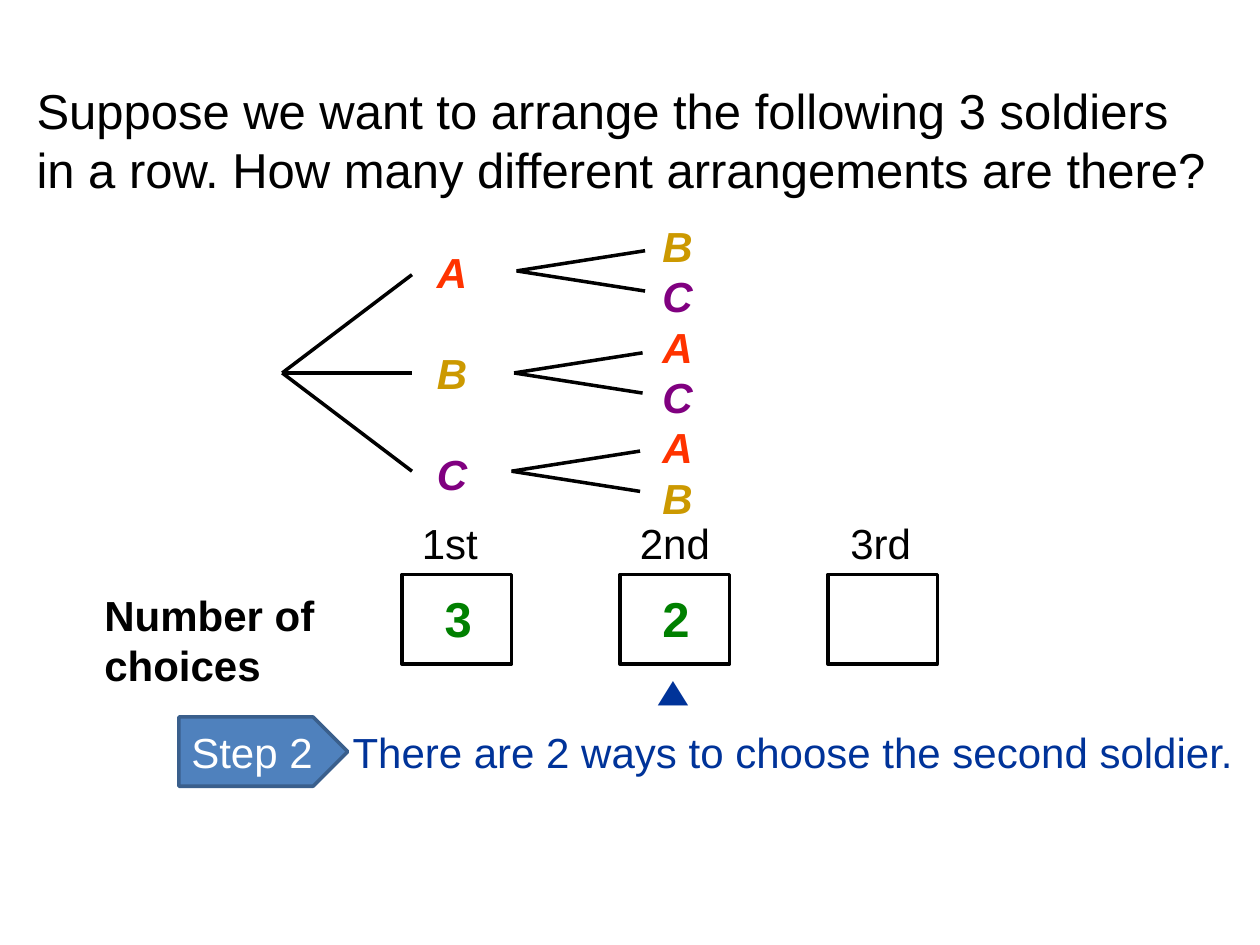
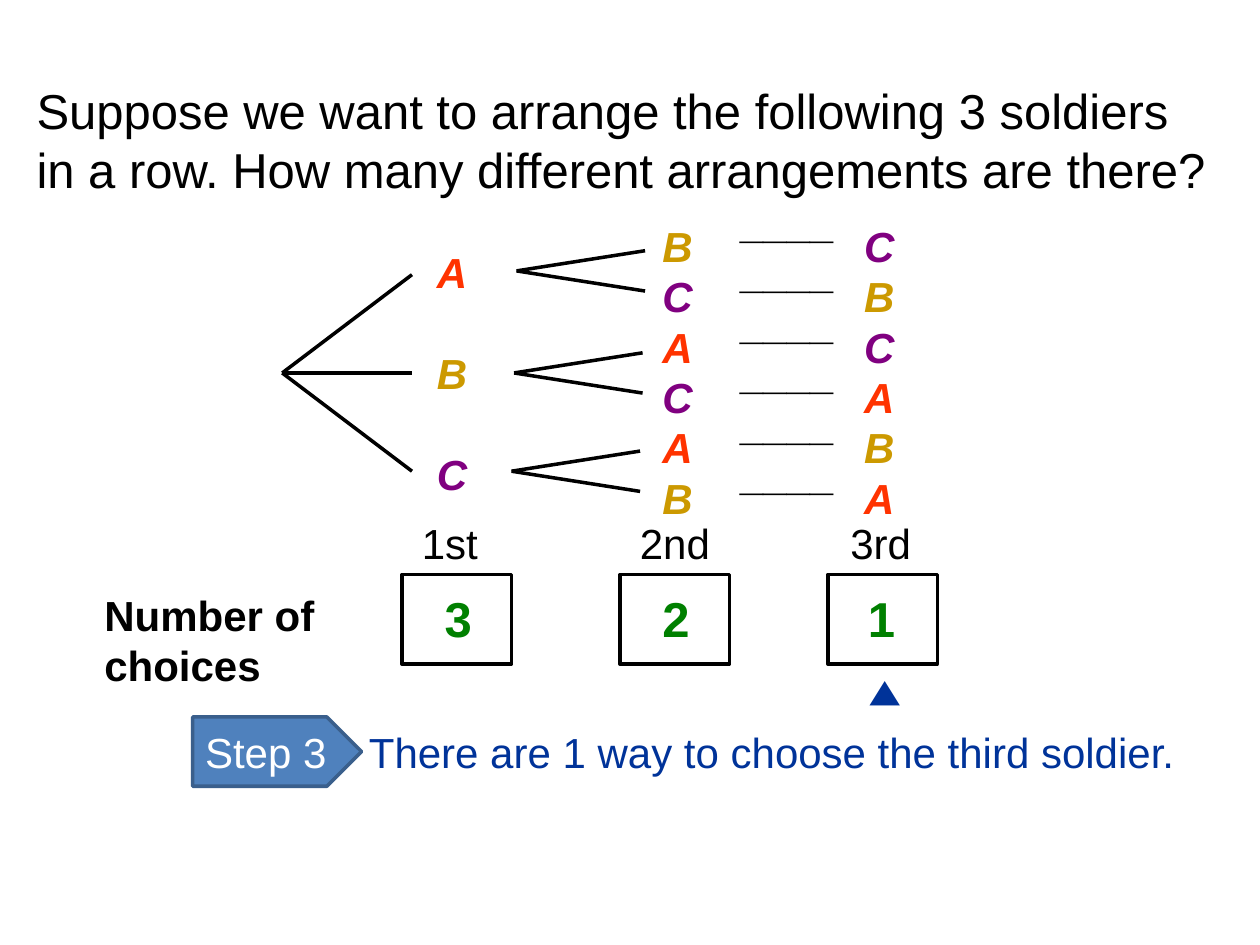
from pptx import Presentation
from pptx.dml.color import RGBColor
from pptx.enum.shapes import MSO_CONNECTOR, MSO_SHAPE
from pptx.enum.text import MSO_ANCHOR, PP_ALIGN
from pptx.oxml.ns import qn
from pptx.util import Inches, Pt
from lxml import etree

LEFT = PP_ALIGN.LEFT
TOP, MIDDLE = MSO_ANCHOR.TOP, MSO_ANCHOR.MIDDLE
RECT, PENTAGON = MSO_SHAPE.RECTANGLE, MSO_SHAPE.PENTAGON
STRAIGHT = MSO_CONNECTOR.STRAIGHT
TITLE_ONLY = 5

COLORS = {
    "black": "000000", "white": "FFFFFF", "count": "008000", "step": "003399",
    "tag": "4F81BD", "tag_line": "3A5F8C",
    "A": "FF3300", "B": "CC9900", "C": "800080",
}
FONT = "Arial"
LINE_HEIGHT = 1.2
QUESTION = ("Suppose we want to arrange the following 3 soldiers in a row. "
            "How many different arrangements are there?")

PLACES = [("1st", 3.19, 3.25), ("2nd", 4.92, 4.98), ("3rd", 6.57, 6.65)]
COUNTS = [("3", 3.43), ("2", 5.16), ("1", 6.79)]
FIRST, SECOND, THIRD = "ABC", "BCACAB", "CBCABA"
# Each fan: start x, start y, run, and the rise of each branch
FANS = [
    (2.24, 2.96, 1.03, (-0.78, 0, 0.78)),
    (4.10, 2.15, 1.02, (-0.16, 0.16)),
    (4.08, 2.96, 1.02, (-0.16, 0.16)),
    (4.06, 3.74, 1.02, (-0.16, 0.16)),
]
STEPS = [
    {"tag": "Step 2", "text": "There are 2 ways to choose the second soldier.",
     "tag_x": 1.42, "text_x": 2.70, "marker_x": 5.13, "filled": 2},
    {"tag": "Step 3", "text": "There are 1 way to choose the third soldier.",
     "tag_x": 1.53, "text_x": 2.83, "marker_x": 6.81, "filled": 3},
]


def write(shape, lines, color="black", size=24, bold=False, italic=False, gap=0):
    """Fill a shape with one paragraph per line; A, B and C take their own colour."""
    tf = shape.text_frame
    tf.word_wrap = True
    for i, line in enumerate(lines):
        p = tf.paragraphs[0] if i == 0 else tf.add_paragraph()
        p.text = line
        p.alignment = LEFT
        p.line_spacing = Pt(size * LINE_HEIGHT)
        p.space_before = Pt(0)
        p.space_after = Pt(gap)
        p.font.name, p.font.size = FONT, Pt(size)
        p.font.bold, p.font.italic = bold, italic
        p.font.color.rgb = RGBColor.from_string(COLORS.get(line, COLORS[color]))


def add_text(s, left, top, width, height, lines, **style):
    box = s.shapes.add_textbox(Inches(left), Inches(top), Inches(width), Inches(height))
    write(box, lines, **style)
    return box


prs = Presentation()
prs.slide_width, prs.slide_height = Inches(10), Inches(7.5)

for step in STEPS:
    s = prs.slides.add_slide(prs.slide_layouts[TITLE_ONLY])

    # Question
    title = s.shapes.title
    title.left, title.top = Inches(0.19), Inches(0.59)
    title.width, title.height = Inches(9.53), Inches(1.03)
    title.text_frame.vertical_anchor = TOP
    write(title, [QUESTION], size=28)

    # Number of choices for each place
    add_text(s, 0.73, 4.63, 1.89, 0.91, ["Number of choices"], bold=True)
    for place, box_x, label_x in PLACES:
        add_text(s, label_x, 4.06, 0.85, 0.5, [place])
        sp = s.shapes.add_shape(RECT, Inches(box_x), Inches(4.56), Inches(0.87), Inches(0.71))
        sp.shadow.inherit = False
        sp.fill.background()
        sp.line.color.rgb = RGBColor.from_string(COLORS["black"])
        sp.line.width = Pt(2)
    for count, x in COUNTS[:step["filled"]]:
        add_text(s, x, 4.62, 0.5, 0.57, [count], color="count", size=28, bold=True)

    # Tree of arrangements
    letters = {"bold": True, "italic": True}
    add_text(s, 3.37, 1.91, 0.53, 2.1, FIRST, gap=24 * LINE_HEIGHT, **letters)
    add_text(s, 5.16, 1.7, 0.53, 2.5, SECOND, **letters)
    if step["filled"] == 3:
        add_text(s, 5.79, 1.51, 1.04, 2.5, ["____"] * len(THIRD), **letters)
        add_text(s, 6.76, 1.7, 0.53, 2.5, THIRD, **letters)
    for x, y, run, rises in FANS:
        for rise in rises:
            branch = s.shapes.add_connector(
                STRAIGHT, Inches(x), Inches(y), Inches(x + run), Inches(y + rise))
            branch.line.color.rgb = RGBColor.from_string(COLORS["black"])
            branch.line.width = Pt(2)
            etree.SubElement(branch._element.spPr, qn("a:effectLst"))

    # Step marker, tag and sentence
    marker = add_text(s, step["marker_x"], 5.3, 0.5, 0.5, ["◀"], color="step")
    marker.rotation = 90
    add_text(s, step["text_x"], 5.72, 7.26, 0.51, [step["text"]], color="step")
    tag = s.shapes.add_shape(
        PENTAGON, Inches(step["tag_x"]), Inches(5.69), Inches(1.34), Inches(0.55))
    tag.shadow.inherit = False
    tag.fill.solid()
    tag.fill.fore_color.rgb = RGBColor.from_string(COLORS["tag"])
    tag.line.color.rgb = RGBColor.from_string(COLORS["tag_line"])
    tag.line.width = Pt(2)
    tag.text_frame.vertical_anchor = MIDDLE
    write(tag, [step["tag"]], color="white")

prs.save("out.pptx")
